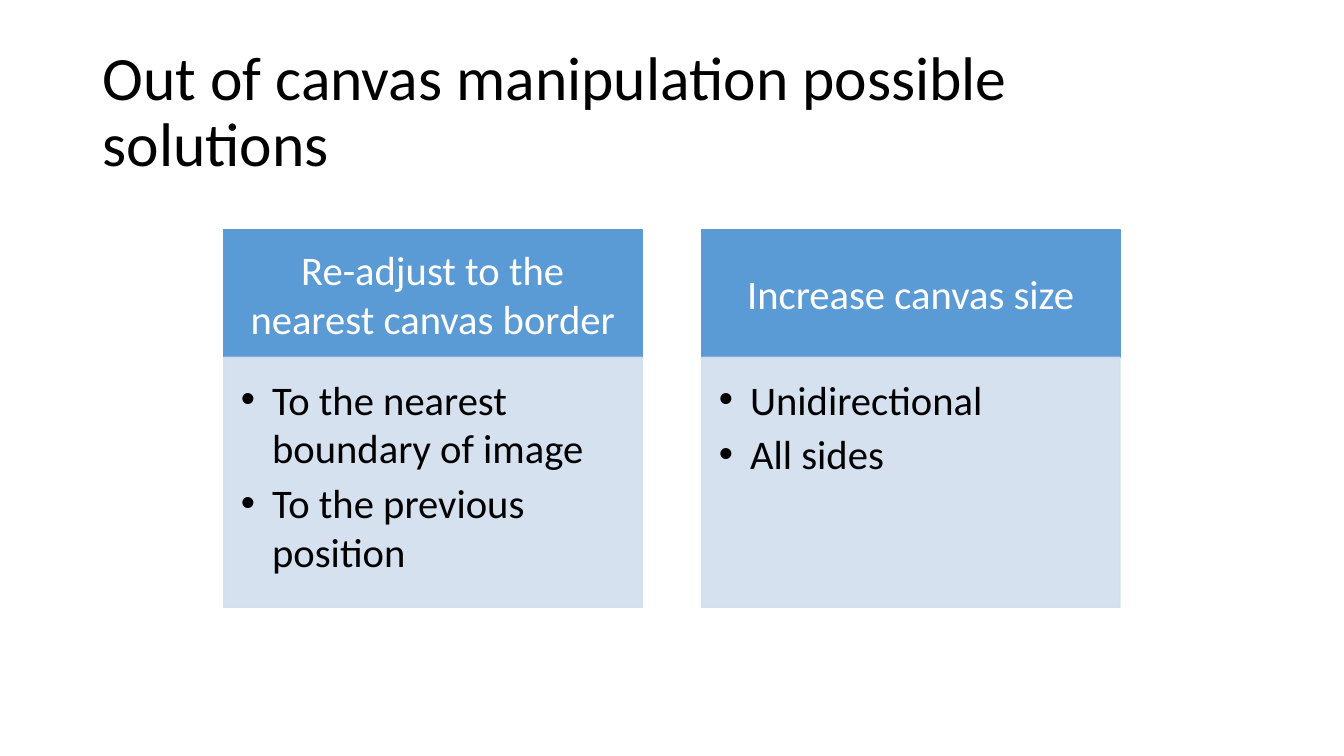
from pptx import Presentation, util as u
from pptx.dml import color
from pptx.enum import shapes, text
from pptx.oxml import ns
from lxml import etree

COLOURS = {"ink": "000000", "paper": "FFFFFF", "header": "5B9BD5", "panel": "D2DEEF"}
FONT = "Calibri"
TITLE_SIZE, BODY_SIZE = 44, 29


class Slide:
    """Style and current page; places are percentages of the slide's size."""

    def __init__(self, deck):
        self.deck = deck
        self.page = deck.slides.add_slide(deck.slide_layouts[6])

    def place(self, left, top, width, height):
        across, down = self.deck.slide_width, self.deck.slide_height
        return [int(share * side / 100) for share, side in
                zip((left, top, width, height), (across, down, across, down))]

    def colour(self, name):
        return color.RGBColor.from_string(COLOURS[name])

    def frame(self, box, insets, anchor):
        frame = box.text_frame
        frame.word_wrap = True
        frame.vertical_anchor = anchor
        (frame.margin_left, frame.margin_top,
         frame.margin_right, frame.margin_bottom) = map(u.Inches, insets)
        return frame

    def add_words(self, para, words, size, ink, align=text.PP_ALIGN.LEFT, after=0):
        para.alignment = align
        para.space_after = u.Pt(size * after)
        span = para.add_run()
        span.text = words
        span.font.name, span.font.size = FONT, u.Pt(size)
        span.font.color.rgb = self.colour(ink)

    def bullet(self, para):
        props = para._p.get_or_add_pPr()
        indent = u.Inches(0.31)
        props.set("marL", str(indent))
        props.set("indent", str(-indent))
        etree.SubElement(props, ns.qn("a:buFont"), typeface="Arial")
        etree.SubElement(props, ns.qn("a:buChar"), char="•")

    def block(self, place, fill, opacity=100):
        box = self.page.shapes.add_shape(shapes.MSO_SHAPE.RECTANGLE, *self.place(*place))
        box.shadow.inherit = False
        box.line.width = u.Pt(1)
        for paint in (box.fill, box.line.fill):
            paint.solid()
            paint.fore_color.rgb = self.colour(fill)
        if opacity < 100:
            for tone in box._element.spPr.iter(ns.qn("a:srgbClr")):
                etree.SubElement(tone, ns.qn("a:alpha"), val=str(opacity * 1000))
        return box

    def title(self, place, words):
        box = self.page.shapes.add_textbox(*self.place(*place))
        frame = self.frame(box, (0.1, 0.05, 0.1, 0.05), text.MSO_ANCHOR.MIDDLE)
        para = frame.paragraphs[0]
        para.line_spacing = 0.9
        self.add_words(para, words, TITLE_SIZE, "ink")

    def header(self, place, words):
        box = self.block(place, "header")
        frame = self.frame(box, (0.23, 0.13, 0.23, 0.13), text.MSO_ANCHOR.MIDDLE)
        self.add_words(frame.paragraphs[0], words, BODY_SIZE, "paper",
                       text.PP_ALIGN.CENTER, 0.35)

    def panel(self, place, points):
        box = self.block(place, "panel", 90)
        frame = self.frame(box, (0.17, 0.17, 0.23, 0.25), text.MSO_ANCHOR.TOP)
        for number, words in enumerate(points):
            para = frame.add_paragraph() if number else frame.paragraphs[0]
            self.add_words(para, words, BODY_SIZE, "ink", after=0.15)
            self.bullet(para)


def main():
    deck = Presentation()
    deck.slide_width, deck.slide_height = u.Inches(13.33), u.Inches(7.5)
    slide = Slide(deck)

    # Title
    slide.title((6.9, 5.33, 86.27, 19.33), "Out of canvas manipulation possible solutions")

    # One column per solution: header above a bulleted panel
    solutions = {
        "Re-adjust to the nearest canvas border": [
            "To the nearest boundary of image", "To the previous position"],
        "Increase canvas size": ["Unidirectional", "All sides"],
    }
    first, step, width = 16.65, 35.56, 31.13
    top, header_height, panel_height = 30.4, 16.87, 33.07
    for column, (name, points) in enumerate(solutions.items()):
        left = first + column * step
        slide.header((left, top, width, header_height), name)
        slide.panel((left, top + header_height, width, panel_height), points)

    deck.save("out.pptx")


if __name__ == "__main__":
    main()
